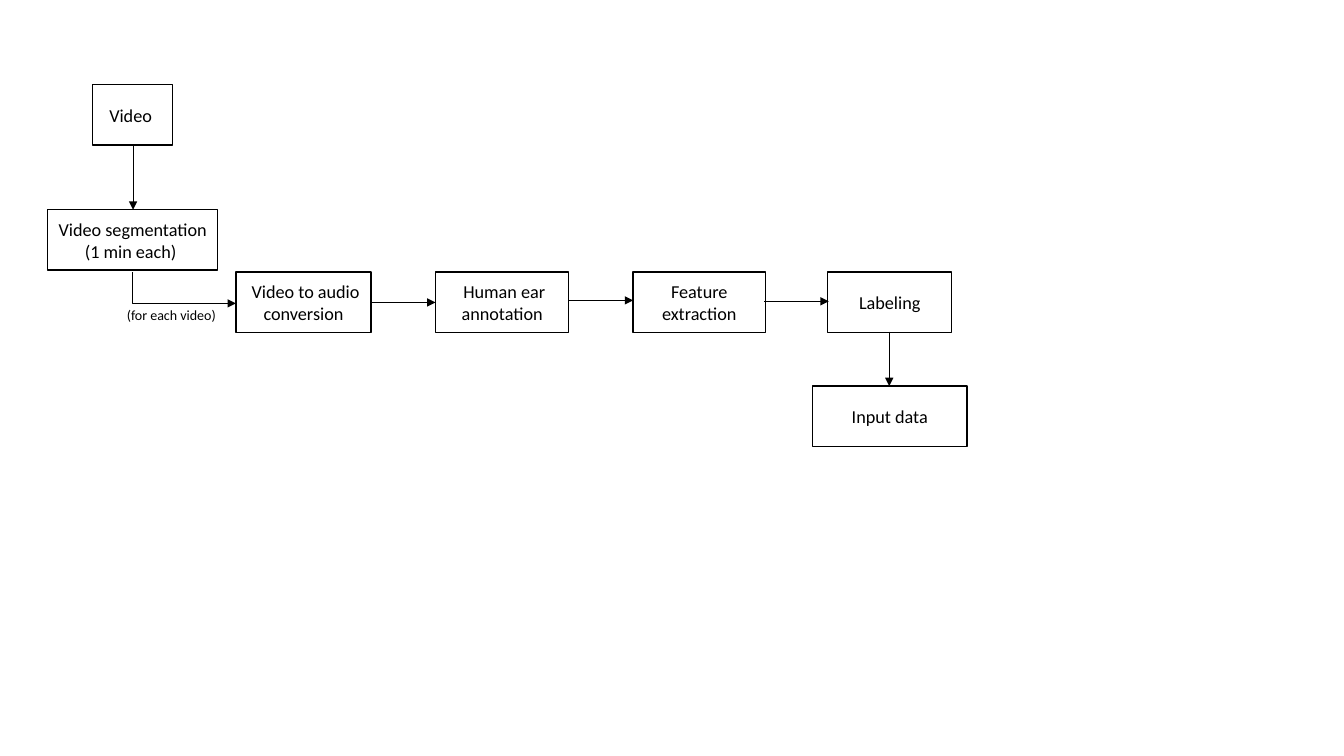
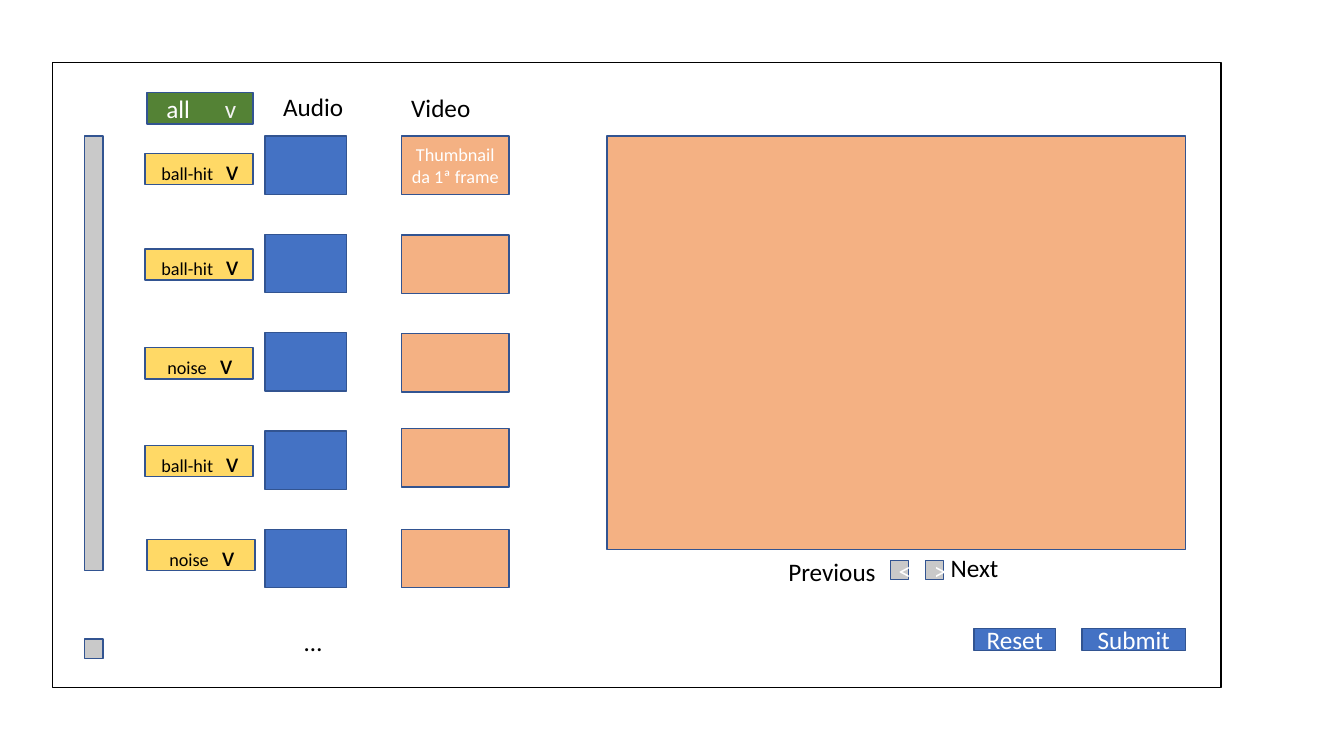
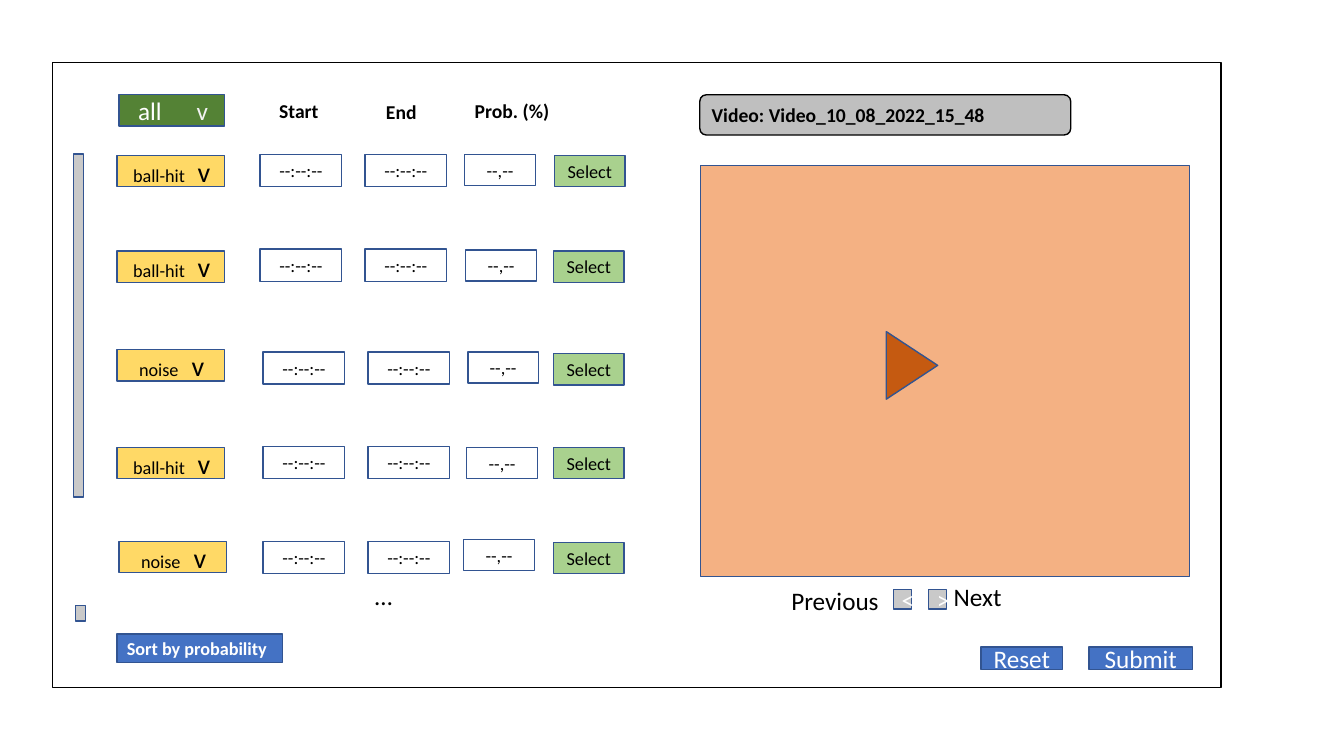
"""Audio labelling pipeline and two mock-ups of its annotation screen."""
from lxml.etree import SubElement
from pptx import Presentation
from pptx.dml.color import RGBColor
from pptx.enum.shapes import MSO_CONNECTOR, MSO_SHAPE
from pptx.enum.text import MSO_ANCHOR, MSO_AUTO_SIZE, PP_ALIGN
from pptx.oxml.ns import qn
from pptx.util import Inches, Pt

COLORS = {
    "black": "000000", "white": "FFFFFF", "pale": "F2F2F2", "edge": "325491",
    "blue": "4472C4", "peach": "F4B183", "green": "548235", "yellow": "FFD966",
    "gray": "C9C9C9", "silver": "BFBFBF", "lime": "A9D18E", "rust": "C55A11",
}
FORMATS = {
    "note": {"name": "Calibri", "size": Pt(10)},
    "body": {"name": "Calibri", "size": Pt(13)},
    "strong": {"name": "Calibri", "size": Pt(13), "bold": True},
    "heading": {"name": "Calibri", "size": Pt(14), "bold": True},
    "large": {"name": "Calibri", "size": Pt(18)},
    "arrow": {"name": "Calibri", "size": Pt(20)},
}
LABELS = ["ball-hit", "ball-hit", "noise", "ball-hit", "noise"]
LABEL_GAPS = {"ball-hit": (0.16, 0.64), "noise": (0.22, 0.52)}
LABEL_OFFSETS = [(0, 0), (0, 0.95), (0, 1.93), (0, 2.9), (0.02, 3.83)]


def rgb(color):
    """Look up a colour by name."""
    return RGBColor.from_string(COLORS[color])


def write(paragraph, text, style, color):
    """Append a formatted run to a paragraph."""
    run = paragraph.add_run()
    run.text = text
    for name, value in FORMATS[style].items():
        setattr(run.font, name, value)
    run.font.color.rgb = rgb(color)


def box(slide, at, fill=None, text="", style="body", color="black", edge="edge",
        align=PP_ALIGN.CENTER, kind=MSO_SHAPE.RECTANGLE):
    """Draw an outlined shape with optional fill and text."""
    shape = slide.shapes.add_shape(kind, *map(Inches, at))
    shape.shadow.inherit = False
    if fill:
        shape.fill.solid()
        shape.fill.fore_color.rgb = rgb(fill)
    else:
        shape.fill.background()
    shape.line.color.rgb = rgb(edge)
    shape.line.width = Pt(1)
    if text:
        frame = shape.text_frame
        frame.word_wrap = True
        frame.vertical_anchor = MSO_ANCHOR.MIDDLE
        frame.paragraphs[0].alignment = align
        write(frame.paragraphs[0], text, style, color)
    return shape


def caption(slide, at, text, style="large"):
    """Place plain text."""
    frame = slide.shapes.add_textbox(*map(Inches, at)).text_frame
    frame.word_wrap = True
    frame.auto_size = MSO_AUTO_SIZE.SHAPE_TO_FIT_TEXT
    write(frame.paragraphs[0], text, style, "black")


def arrow(slide, start, end, kind=MSO_CONNECTOR.STRAIGHT, bend=None):
    """Draw a thin connector with a triangle at its end."""
    points = map(Inches, (*start, *end))
    connector = slide.shapes.add_connector(kind, *points)
    connector.line.color.rgb = rgb("black")
    connector.line.width = Pt(0.5)
    properties = connector._element.spPr
    SubElement(properties.find(qn("a:ln")), qn("a:tailEnd"), type="triangle")
    SubElement(properties, qn("a:effectLst"))
    if bend is not None:
        guides = properties.find(qn("a:prstGeom")).get_or_add_avLst()
        SubElement(guides, qn("a:gd"), name="adj1", fmla=f"val {bend}")


def dropdown(slide, at, fill, text, gaps, style, color, mark_style, mark_color):
    """Draw a selector whose v mark stands at a tab stop."""
    selector = box(slide, at, fill, text, style, color, align=PP_ALIGN.LEFT)
    inset, tab = gaps
    selector.text_frame.margin_left = Inches(inset)
    paragraph = selector.text_frame.paragraphs[0]
    stops = SubElement(paragraph._p.get_or_add_pPr(), qn("a:tabLst"))
    SubElement(stops, qn("a:tab"), pos=str(Inches(tab)), algn="l")
    write(paragraph, "\tv", mark_style, mark_color)


def selectors(slide, filter_at, left, top):
    """Draw the filter and the column of label selectors."""
    dropdown(slide, (*filter_at, 1.05, 0.31), "green", "all", (0.19, 0.58),
             "large", "white", "large", "pale")
    for label, (dx, dy) in zip(LABELS, LABEL_OFFSETS):
        dropdown(slide, (left + dx, top + dy, 1.07, 0.31), "yellow", label,
                 LABEL_GAPS[label], "body", "black", "arrow", "black")


def paging(slide, left, top):
    """Draw the Previous and Next controls."""
    caption(slide, (left, top + 0.04, 1.16, 0.4), "Previous")
    for dx, sign in ((1.11, "<"), (1.46, ">")):
        box(slide, (left + dx, top + 0.13, 0.18, 0.19), "gray", sign, "large", "white")
    caption(slide, (left + 1.61, top, 0.81, 0.4), "Next")


def actions(slide, left, top):
    """Draw the Reset and Submit buttons."""
    for dx, width, text in ((0, 0.81, "Reset"), (1.07, 1.03, "Submit")):
        box(slide, (left + dx, top, width, 0.22), "blue", text, "large", "white")


def screen(slide, scroll_parts, player):
    """Draw the window frame, scroll bar and player area."""
    box(slide, (0.52, 0.62, 11.59, 6.2), edge="black")
    for part in scroll_parts:
        box(slide, part, "gray")
    box(slide, player, "peach")


def pipeline(slide):
    """Show the steps from video to input data."""
    caption(slide, (1.16, 2.99, 1.34, 0.27), "(for each video)", "note")
    steps = [
        (0.92, 0.84, 0.79, "Video "),
        (0.47, 2.08, 1.69, "Video segmentation (1 min each) "),
        (2.34, 2.7, 1.34, " Video to audio conversion"),
        (4.32, 2.7, 1.32, " Human ear annotation"),
        (6.28, 2.7, 1.31, "Feature extraction"),
        (8.21, 2.7, 1.23, "Labeling"),
        (8.06, 3.83, 1.53, "Input data"),
    ]
    for left, top, width, text in steps:
        box(slide, (left, top, width, 0.6), "white", text, edge="black")
    for left, top in ((3.68, 3), (5.64, 2.98), (7.58, 2.99)):
        arrow(slide, (left, top), (left + 0.64, top))
    for left, top, bottom in ((1.32, 1.44, 2.08), (8.82, 3.29, 3.83)):
        arrow(slide, (left, top), (left, bottom))
    arrow(slide, (1.32, 2.7), (2.34, 3.01), MSO_CONNECTOR.ELBOW, bend=-1200)


def clip_screen(slide):
    """Show the screen that lists audio and video clips."""
    screen(slide, [(0.84, 1.35, 0.18, 4.31), (0.84, 6.34, 0.18, 0.19)],
           (6.02, 1.35, 5.74, 4.1))
    selectors(slide, (1.46, 0.92), 1.44, 1.52)
    caption(slide, (2.71, 0.86, 0.81, 0.4), "Audio")
    caption(slide, (3.98, 0.87, 0.81, 0.4), "Video")
    for row, video_top in enumerate((1.35, 2.33, 3.31, 4.25, 5.25)):
        box(slide, (2.63, 1.35 + 0.975 * row, 0.81, 0.58), "blue")
        box(slide, (3.98, video_top, 1.07, 0.58), "peach",
            "" if row else "Thumbnail da 1ª frame", color="white")
    caption(slide, (2.92, 6.16, 0.81, 0.4), "…")
    paging(slide, 7.72, 5.43)
    actions(slide, 9.66, 6.235)


def event_screen(slide):
    """Show the screen that lists timed events with probabilities."""
    screen(slide, [(0.73, 1.53, 0.1, 3.4), (0.75, 6.01, 0.1, 0.15)],
           (6.95, 1.64, 4.85, 4.08))
    selectors(slide, (1.18, 0.94), 1.16, 1.54)
    headings = [(2.67, 0.93, 0.81, "Start"), (3.73, 0.94, 0.81, "End"),
                (4.61, 0.93, 1.02, "Prob. (%)")]
    for left, top, width, text in headings:
        caption(slide, (left, top, width, 0.34), text, "heading")
    rows = [
        (2.58, 1.53, 4.61, 1.53, 5.5, 1.54),
        (2.58, 2.47, 4.62, 2.48, 5.49, 2.49),
        (2.61, 3.49, 4.64, 3.49, 5.49, 3.51),
        (2.61, 4.43, 4.63, 4.44, 5.49, 4.44),
        (2.61, 5.37, 4.6, 5.35, 5.49, 5.38),
    ]
    for start, time_top, chance, chance_top, select, select_top in rows:
        for left in (start, start + 1.04):
            box(slide, (left, time_top, 0.81, 0.32), text="--:--:--")
        box(slide, (chance, chance_top, 0.7, 0.31), text="--,--")
        box(slide, (select, select_top, 0.7, 0.31), "lime", "Select")
    caption(slide, (3.62, 5.71, 0.81, 0.4), "…")
    box(slide, (6.94, 0.94, 3.68, 0.4), "silver", "Video: Video_10_08_2022_15_48",
        "heading", edge="black", align=PP_ALIGN.LEFT, kind=MSO_SHAPE.ROUNDED_RECTANGLE)
    play = box(slide, (8.71, 3.37, 0.67, 0.51), "rust", kind=MSO_SHAPE.FLOWCHART_EXTRACT)
    play.rotation = 90
    box(slide, (1.16, 6.29, 1.64, 0.28), "blue", "Sort by probability", "strong",
        "white", align=PP_ALIGN.LEFT)
    paging(slide, 7.75, 5.72)
    actions(slide, 9.73, 6.42)


def main():
    """Build and save the presentation."""
    deck = Presentation()
    deck.slide_width, deck.slide_height = Inches(13.33), Inches(7.5)
    for draw in (pipeline, clip_screen, event_screen):
        draw(deck.slides.add_slide(deck.slide_layouts[6]))
    deck.save("out.pptx")


if __name__ == "__main__":
    main()
